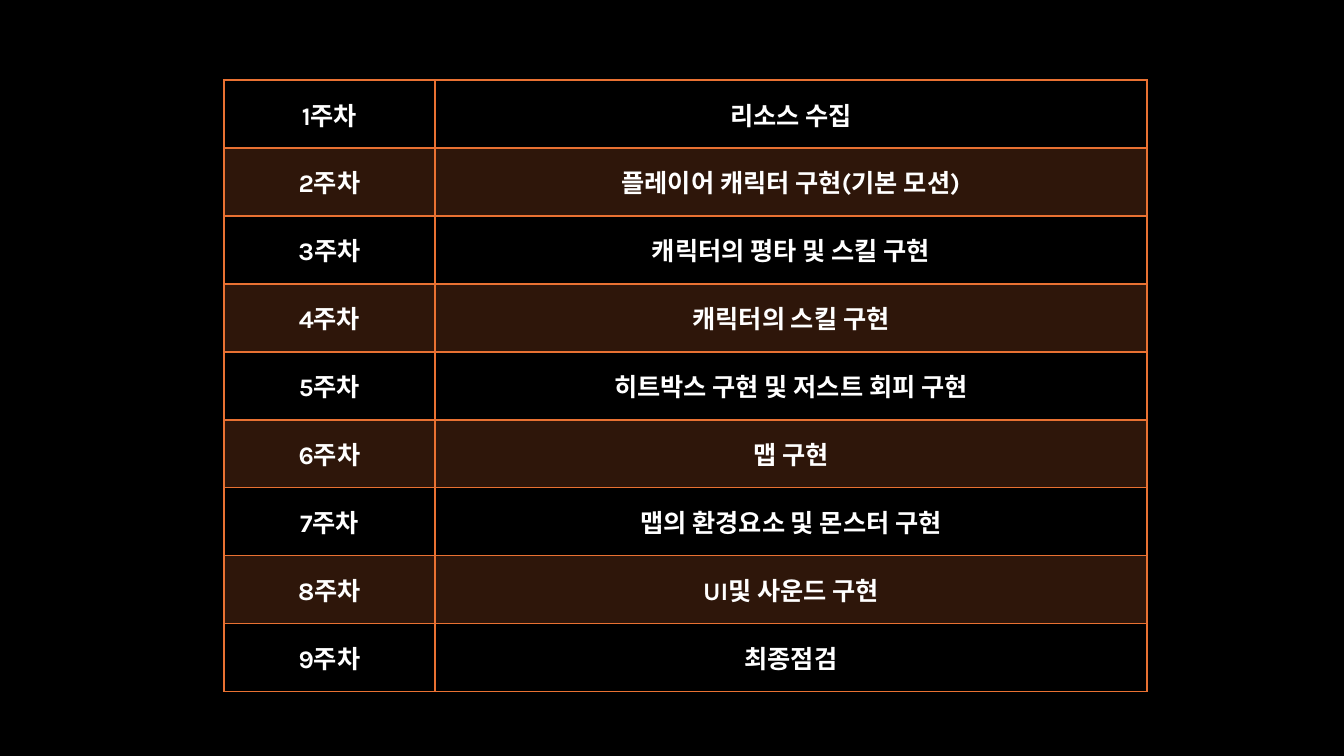
from dataclasses import dataclass

from lxml.etree import SubElement
from pptx import Presentation
from pptx.dml.color import RGBColor
from pptx.enum.text import MSO_ANCHOR as Anchor, PP_ALIGN as Align
from pptx.oxml import parse_xml
from pptx.oxml.ns import nsdecls, qn
from pptx.table import Table, _Cell as Cell
from pptx.util import Emu, Pt

BLACK = RGBColor(0x00, 0x00, 0x00)
WHITE = RGBColor(0xFF, 0xFF, 0xFF)
ORANGE = RGBColor(0xE9, 0x71, 0x32)

FONT = "Karla"
PAGE_WIDTH, PAGE_HEIGHT = 1344, 756
TABLE_LEFT, TABLE_TOP = 224, 80
COLUMN_WIDTHS = (211, 712)
ROW_HEIGHT = 68
BAND_OPACITY = 20


@dataclass(frozen=True)
class Week:
    number: int
    task: str

    @property
    def texts(self) -> tuple[str, str]:
        return f"{self.number}주차", self.task


TASKS = (
    "리소스 수집",
    "플레이어 캐릭터 구현(기본 모션)",
    "캐릭터의 평타 및 스킬 구현",
    "캐릭터의 스킬 구현",
    "히트박스 구현 및 저스트 회피 구현",
    "맵 구현",
    "맵의 환경요소 및 몬스터 구현",
    "UI및 사운드 구현",
    "최종점검",
)
WEEKS = [Week(number, task) for number, task in enumerate(TASKS, start=1)]


def px(length: int) -> Emu:
    return Emu(round(length * 12192000 / PAGE_WIDTH))


def fill_cell(cell: Cell, banded: bool) -> None:
    if not banded:
        cell.fill.background()
        return
    cell.fill.solid()
    cell.fill.fore_color.rgb = ORANGE
    color = cell._tc.tcPr.find(f".//{qn('a:srgbClr')}")
    SubElement(color, qn("a:alpha"), val=str(BAND_OPACITY * 1000))


def border_cell(cell: Cell, top: int, bottom: int) -> None:
    """Draw the four borders, with the top and bottom widths in points."""
    widths = {"lnL": 1, "lnR": 1, "lnT": top, "lnB": bottom}
    for index, (side, width) in enumerate(widths.items()):
        line = parse_xml(
            f'<a:{side} {nsdecls("a")} w="{Pt(width)}"><a:solidFill>'
            f'<a:srgbClr val="{ORANGE}"/></a:solidFill></a:{side}>'
        )
        cell._tc.tcPr.insert(index, line)


def write_cell(cell: Cell, text: str) -> None:
    cell.vertical_anchor = Anchor.MIDDLE
    para = cell.text_frame.paragraphs[0]
    para.text = text
    para.alignment = Align.CENTER
    para.font.name = FONT
    para.font.size = Pt(18)
    para.font.bold = True
    para.font.color.rgb = WHITE


def fill_schedule(table: Table) -> None:
    table.first_row = table.horz_banding = False
    for column, width in zip(table.columns, COLUMN_WIDTHS):
        column.width = px(width)
    for row, week in zip(table.rows, WEEKS):
        row.height = px(ROW_HEIGHT)
        for cell, text in zip(row.cells, week.texts):
            write_cell(cell, text)
            fill_cell(cell, banded=week.number % 2 == 0)
            border_cell(
                cell,
                top=2 if week.number == 2 else 1,
                bottom=2 if week.number == 1 else 1,
            )


def main() -> None:
    deck = Presentation()
    deck.slide_width, deck.slide_height = px(PAGE_WIDTH), px(PAGE_HEIGHT)
    page = deck.slides.add_slide(deck.slide_layouts[6])
    page.background.fill.solid()
    page.background.fill.fore_color.rgb = BLACK
    frame = page.shapes.add_table(
        len(WEEKS), len(COLUMN_WIDTHS),
        px(TABLE_LEFT), px(TABLE_TOP),
        px(sum(COLUMN_WIDTHS)), px(ROW_HEIGHT * len(WEEKS)),
    )
    fill_schedule(frame.table)
    deck.save("out.pptx")


if __name__ == "__main__":
    main()
